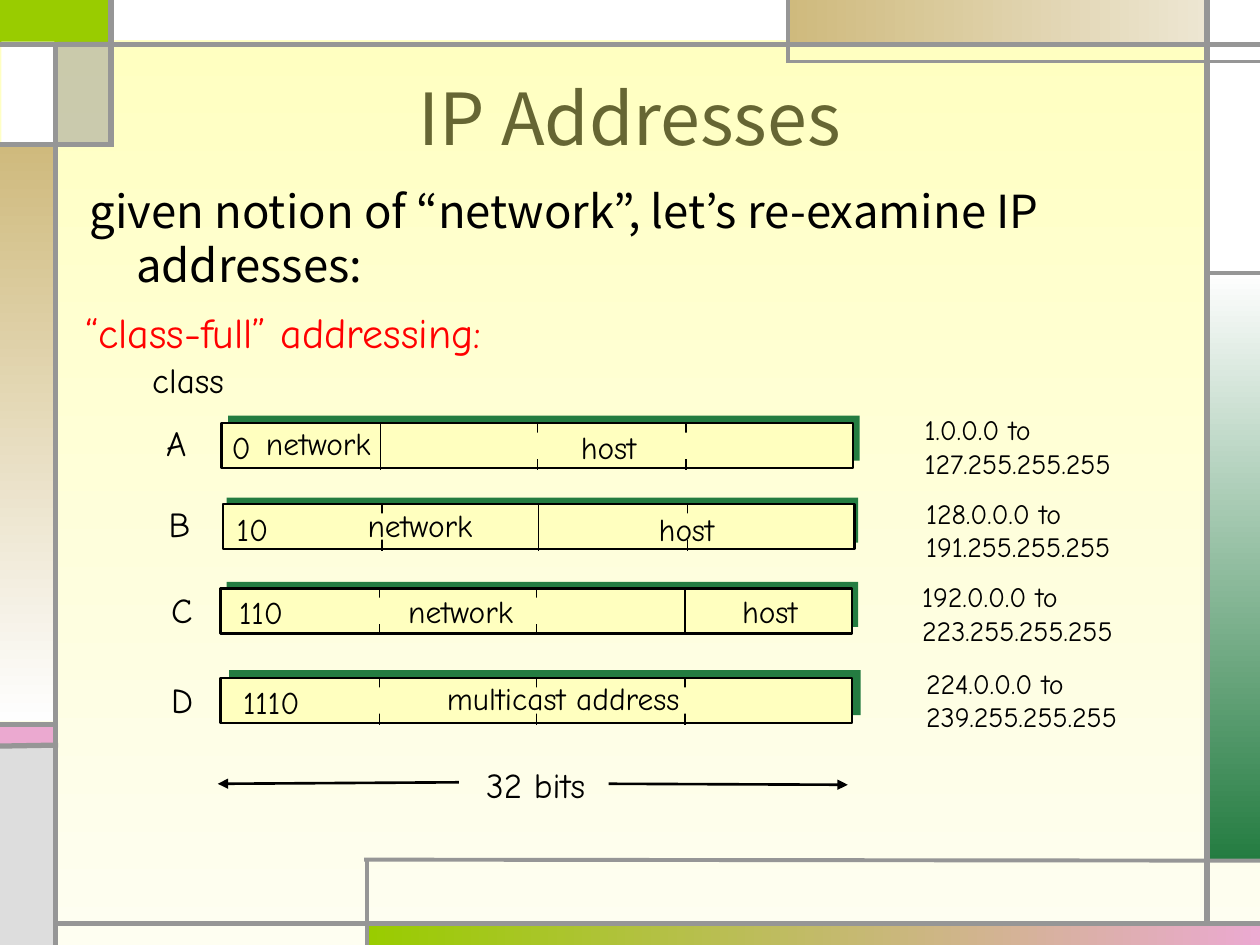
from lxml import etree
from pptx import Presentation
from pptx.dml.color import RGBColor
from pptx.enum.shapes import MSO_CONNECTOR, MSO_SHAPE
from pptx.enum.text import MSO_ANCHOR, MSO_AUTO_SIZE, PP_ALIGN
from pptx.oxml.ns import qn
from pptx.util import Cm, Pt

RECTANGLE = MSO_SHAPE.RECTANGLE
STRAIGHT = MSO_CONNECTOR.STRAIGHT
MIDDLE, TOP = MSO_ANCHOR.MIDDLE, MSO_ANCHOR.TOP
NO_FIT = MSO_AUTO_SIZE.NONE
LEFT, CENTER = PP_ALIGN.LEFT, PP_ALIGN.CENTER

HEADING_FONT, LABEL_FONT = "Noto Sans CJK KR", "Comic Neue"
BLACK, WHITE, GRAY, RED = "000000", "FFFFFF", "969696", "FF0000"
CREAM, GREEN, LIME, PINK = "FFFFBF", "247C41", "99CC00", "EBA9D0"
SAND, PALE_SAND, OFF_WHITE = "CFBA7D", "EDE6D2", "FEFEFE"
OLIVE, SILVER = "666633", "DDDDDD"
RIGHTWARD, DOWNWARD = 0, 270

BAR_WIDTH, BAR_HEIGHT = 12.73, 0.91
OCTET_OFFSETS = (3.2, 6.36, 9.36)
LABEL_SLACK = 0.3

PANELS = [
    (0, 0, 2.21, 0.86, LIME),
    (7.42, 18.62, 17.98, 0.43, (LIME, PINK, RIGHTWARD)),
    (24.33, 5.51, 1.07, 11.84, (OFF_WHITE, GREEN, DOWNWARD)),
    (0, 14.61, 1.07, 0.43, PINK),
    (0, 15.06, 1.07, 3.99, SILVER),
    (24.33, 0, 1.07, 5.49, WHITE),
    (15.88, 0, 8.46, 0.84, (SAND, PALE_SAND, RIGHTWARD)),
    (0, 2.92, 1.07, 11.61, (SAND, OFF_WHITE, DOWNWARD)),
    (0.03, 0.84, 1.07, 2.08, WHITE),
    (2.18, 0, 13.69, 0.81, WHITE),
]

FRAME_LINES = [
    (1.12, 19.05, 1.12, 0.84, 3),
    (1.12, 18.62, 25.4, 18.62, 3),
    (24.33, 18.62, 24.33, 0, 3),
    (0, 0.89, 25.4, 0.89, 3),
    (25.4, 1.24, 15.88, 1.24, 2.25),
    (15.88, 1.27, 15.88, 0, 2.25),
    (24.33, 5.51, 25.4, 5.51, 2.25),
    (2.24, 0, 2.24, 2.97, 3),
    (2.18, 2.92, 0, 2.92, 3),
    (7.39, 19.05, 7.39, 17.3, 2.25),
    (7.34, 17.33, 25.4, 17.35, 2.25),
    (1.17, 14.61, 0, 14.61, 3),
    (1.17, 15.02, 0, 15.04, 3),
]

ADDRESS_CLASSES = [
    {"bar": (4.47, 8.53), "shadow": (4.6, 8.38), "boundary": 0,
     "letter": ("A", 3.1, 8.38, 0.91),
     "fields": [("0", 4.42, 8.51, 0.89), ("network", 5.11, 8.43, 2.62),
                ("host", 11.46, 8.51, 1.63)],
     "range": ("1.0.0.0 to\n127.255.255.255", 18.39, 8.2, 4.27)},
    {"bar": (4.5, 10.16), "shadow": (4.57, 10.03), "boundary": 1,
     "letter": ("B", 3.15, 10.01, 0.94),
     "fields": [("10", 4.52, 10.16, 1.14), ("network", 7.16, 10.08, 2.62),
                ("host", 13.03, 10.16, 1.63)],
     "range": ("128.0.0.0 to\n191.255.255.255", 18.42, 9.88, 4.22)},
    {"bar": (4.45, 11.86), "shadow": (4.57, 11.73), "boundary": 2,
     "letter": ("C", 3.2, 11.73, 0.94),
     "fields": [("110", 4.57, 11.84, 1.4), ("network", 7.98, 11.81, 2.62),
                ("host", 14.71, 11.81, 1.63)],
     "range": ("192.0.0.0 to\n223.255.255.255", 18.34, 11.56, 4.34)},
    {"bar": (4.45, 13.67), "shadow": (4.62, 13.51), "boundary": None,
     "letter": ("D", 3.2, 13.56, 0.94),
     "fields": [("1110", 4.65, 13.64, 1.65),
                ("multicast address", 8.76, 13.56, 5.21)],
     "range": ("224.0.0.0 to\n239.255.255.255", 18.42, 13.31, 4.34)},
]


def color(value):
    return RGBColor.from_string(value)


def apply_values(target, values):
    for name, value in values.items():
        setattr(target, name, value)


def paint(fill, paint_value):
    if isinstance(paint_value, str):
        fill.solid()
        fill.fore_color.rgb = color(paint_value)
        return
    *stop_colors, angle = paint_value
    fill.gradient()
    fill.gradient_angle = angle
    for stop, stop_color in zip(fill.gradient_stops, stop_colors):
        stop.color.rgb = color(stop_color)


def add_rectangle(slide, left, top, width, height, fill, outline=None):
    shape = slide.shapes.add_shape(RECTANGLE, Cm(left), Cm(top), Cm(width), Cm(height))
    shape.shadow.inherit = False
    paint(shape.fill, fill)
    if outline:
        shape.line.color.rgb = color(outline)
        shape.line.width = Pt(1.5)
    else:
        shape.line.fill.background()
    return shape


def add_line(slide, start_x, start_y, end_x, end_y, width, line_color=BLACK, arrow=False):
    line = slide.shapes.add_connector(
        STRAIGHT, Cm(start_x), Cm(start_y), Cm(end_x), Cm(end_y))
    line.line.color.rgb = color(line_color)
    line.line.width = Pt(width)
    properties = line.element.spPr
    if arrow:
        etree.SubElement(properties.find(qn("a:ln")), qn("a:tailEnd"), type="triangle")
    etree.SubElement(properties, qn("a:effectLst"))


def write_text(shape, text, size, font_name, text_color, frame, paragraph_format):
    shape.text_frame.text = text
    apply_values(shape.text_frame, frame)
    for paragraph in shape.text_frame.paragraphs:
        apply_values(paragraph, paragraph_format)
        apply_values(paragraph.font, {"name": font_name, "size": Pt(size), "bold": False})
        paragraph.font.color.rgb = color(text_color)


def add_label(slide, text, left, top, width, height, size, text_color=BLACK):
    label = slide.shapes.add_textbox(
        Cm(left), Cm(top), Cm(width + LABEL_SLACK), Cm(height))
    frame = {"word_wrap": True, "auto_size": NO_FIT}
    write_text(label, text, size, LABEL_FONT, text_color, frame, {"alignment": LEFT})


def place(shape, left, top, width, height):
    apply_values(shape, {"left": Cm(left), "top": Cm(top),
                         "width": Cm(width), "height": Cm(height)})


def fill_placeholders(slide):
    title, body = slide.placeholders
    place(title, 1.27, 0.76, 22.86, 3.18)
    write_text(title, "IP Addresses", 41, HEADING_FONT, OLIVE,
               {"word_wrap": True, "auto_size": NO_FIT, "vertical_anchor": MIDDLE},
               {"alignment": CENTER})
    place(body, 1.55, 3.56, 23.04, 2.46)
    write_text(body, "given notion of “network”, let’s re-examine IP addresses:",
               26, HEADING_FONT, BLACK,
               {"word_wrap": True, "auto_size": NO_FIT, "vertical_anchor": TOP},
               {"alignment": LEFT, "line_spacing": 1.0, "space_before": Pt(0)})
    properties = body.text_frame.paragraphs[0]._p.get_or_add_pPr()
    properties.set("marL", str(Cm(0.94)))
    properties.set("indent", str(Cm(-0.94)))
    bullet = etree.Element(qn("a:buNone"))
    properties.find(qn("a:spcBef")).addnext(bullet)


def add_frame(slide):
    for panel in PANELS:
        add_rectangle(slide, *panel)
    corner = add_rectangle(slide, 1.17, 0.84, 1.07, 2.08, GRAY)
    corner_color = corner.element.spPr.find(".//" + qn("a:srgbClr"))
    etree.SubElement(corner_color, qn("a:alpha"), val="50000")
    for line in FRAME_LINES:
        add_line(slide, *line, GRAY)


def add_address_class(slide, address_class):
    left, top = address_class["bar"]
    add_rectangle(slide, *address_class["shadow"], BAR_WIDTH, BAR_HEIGHT, GREEN)
    add_rectangle(slide, left, top, BAR_WIDTH, BAR_HEIGHT, CREAM, BLACK)
    for index, offset in enumerate(OCTET_OFFSETS):
        octet = left + offset
        add_line(slide, octet, top, octet, top + 0.95, 0.75)
        if index != address_class["boundary"]:
            add_rectangle(slide, octet - 0.13, top + 0.19, 0.25, 0.53, CREAM)
    for field in address_class["fields"]:
        add_label(slide, *field, 1.02, 18)
    add_label(slide, *address_class["letter"], 1.12, 20)
    add_label(slide, *address_class["range"], 1.63, 16)


def main():
    presentation = Presentation()
    presentation.slide_width, presentation.slide_height = Cm(25.4), Cm(19.05)
    slide = presentation.slides.add_slide(presentation.slide_layouts[1])
    paint(slide.background.fill, (CREAM, "FEFEF1", DOWNWARD))
    fill_placeholders(slide)
    add_frame(slide)
    add_label(slide, "“class-full” addressing:", 1.47, 6.05, 11.28, 1.27, 24, RED)
    add_label(slide, "class", 2.82, 7.11, 1.96, 1.12, 20)
    for address_class in ADDRESS_CLASSES:
        add_address_class(slide, address_class)
    add_label(slide, "32 bits", 9.55, 15.27, 2.49, 1.12, 20)
    add_line(slide, 12.27, 15.8, 17.09, 15.82, 1.5, arrow=True)
    add_line(slide, 9.25, 15.77, 4.39, 15.8, 1.5, arrow=True)
    presentation.save("out.pptx")


if __name__ == "__main__":
    main()
